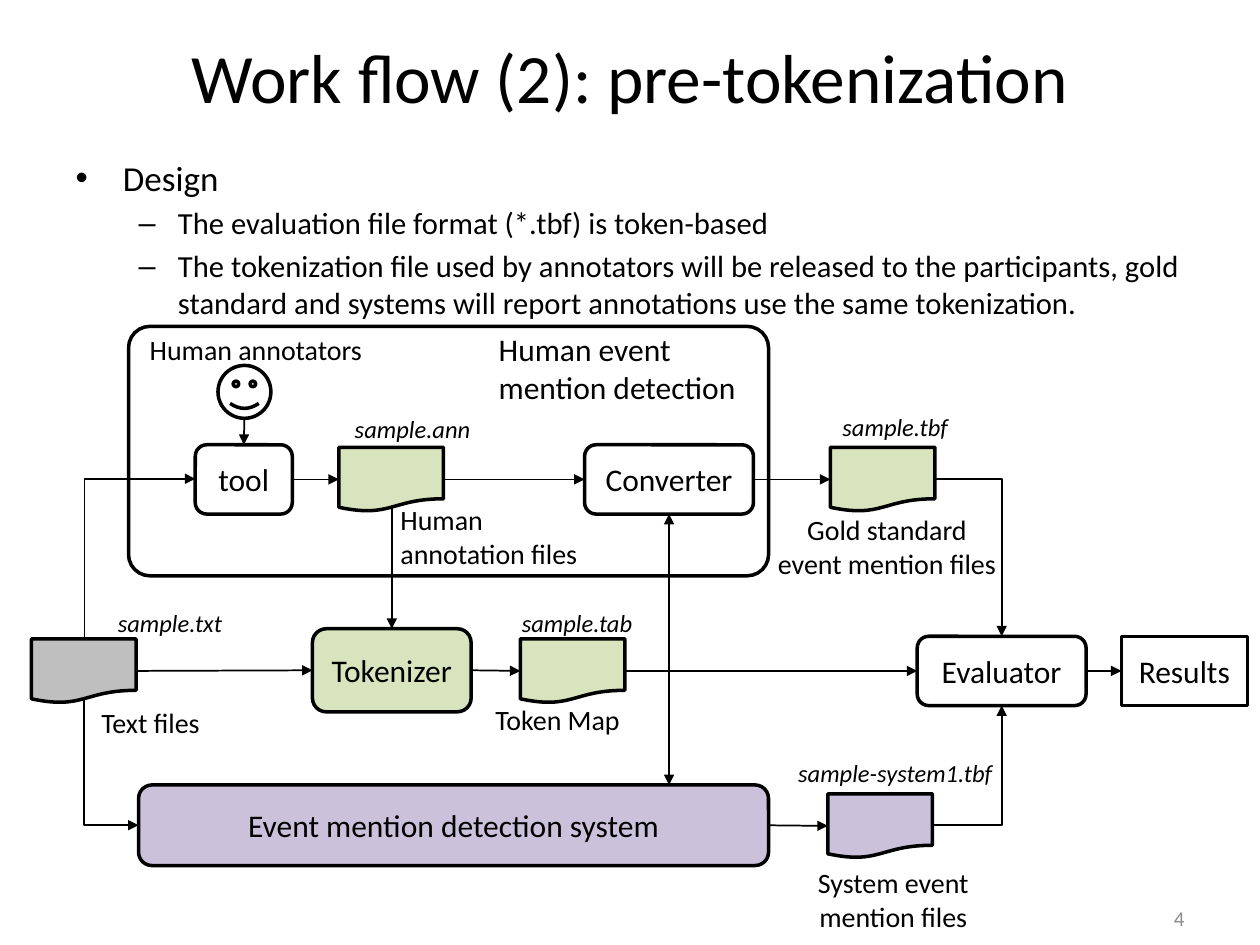
from pptx import Presentation
from pptx.dml.color import RGBColor
from pptx.enum import shapes, text
from pptx.oxml import ns, xmlchemy
from pptx.util import Inches, Pt

FONT, BLACK, GREY = "Calibri", "000000", "8C8C8C"
GREEN, PURPLE, SILVER = "D7E4BD", "CCC1DA", "BFBFBF"
TOP, LEFT, BOTTOM, RIGHT = range(4)
ROUND = shapes.MSO_SHAPE.ROUNDED_RECTANGLE
PROCESS = shapes.MSO_SHAPE.FLOWCHART_PROCESS
DOCUMENT = shapes.MSO_SHAPE.FLOWCHART_DOCUMENT
SMILEY = shapes.MSO_SHAPE.SMILEY_FACE
ALIGN = text.PP_ALIGN

# Content
TITLE = "Work flow (2): pre-tokenization"
BULLETS = [  # level, size, wording
    (0, 20, "Design"),
    (1, 17.5, "The evaluation file format (*.tbf) is token-based"),
    (1, 17.5, "The tokenization file used by annotators will be released to the "
              "participants, gold standard and systems will report annotations "
              "use the same tokenization."),
]
DOC = (0.83, 0.51)
STEPS = {  # name: (preset, left, top, (width, height), fill, wording)
    "frame": (ROUND, 1.02, 2.59, (5.08, 1.98), None, ""),
    "annotator": (SMILEY, 1.73, 2.9, (0.42, 0.42), None, ""),
    "tool": (ROUND, 1.55, 3.53, (0.77, 0.55), None, "tool"),
    "ann": (DOCUMENT, 2.69, 3.55, DOC, GREEN, ""),
    "converter": (ROUND, 4.64, 3.53, (1.34, 0.55), None, "Converter"),
    "gold": (DOCUMENT, 6.59, 3.55, DOC, GREEN, ""),
    "txt": (DOCUMENT, 0.25, 5.07, DOC, SILVER, ""),
    "tokenizer": (ROUND, 2.48, 4.99, (1.26, 0.66), GREEN, "Tokenizer"),
    "tab": (DOCUMENT, 4.13, 5.07, DOC, GREEN, ""),
    "evaluator": (ROUND, 7.28, 5.05, (1.34, 0.55), None, "Evaluator"),
    "results": (PROCESS, 8.9, 5.05, (1, 0.55), None, "Results"),
    "detector": (ROUND, 1.1, 6.23, (5, 0.64), PURPLE, "Event mention detection system"),
    "system": (DOCUMENT, 6.57, 6.3, DOC, PURPLE, ""),
}
FLOWS = [  # straight arrows, left to right
    ("tool", "ann"), ("ann", "converter"), ("converter", "gold"),
    ("txt", "tokenizer"), ("tokenizer", "tab"), ("tab", "evaluator"),
    ("evaluator", "results"), ("detector", "system"),
]
DROPS = [  # straight arrows downward: start x, start y, target
    (1.94, 3.32, "tool"), (3.11, 4.03, "tokenizer"),
]
TURNS = [  # horizontal start, vertical finish, which end has the arrowhead
    ((7.43, 3.8), (7.95, 5.05), "tailEnd"),
    ((7.41, 6.55), (7.95, 5.6), "tailEnd"),
    ((4.96, 5.33), (5.31, 6.23), "tailEnd"),
    ((4.96, 5.33), (5.31, 4.08), "tailEnd"),
    ((1.55, 3.8), (0.67, 5.07), "headEnd"),
    ((1.1, 6.55), (0.67, 5.55), "headEnd"),
]
FILE_NAMES = [  # left, top, width, wording
    (2.71, 3.24, 1.13, "sample.ann"),
    (6.58, 3.22, 1.05, "sample.tbf"),
    (0.83, 4.78, 1.04, "sample.txt"),
    (4.01, 4.78, 1.14, "sample.tab"),
    (6.2, 5.97, 1.81, "sample-system1.tbf"),
]
CAPTIONS = [  # left, top, width, height, lines
    (0.7, 5.55, 0.99, 0.37, ["Text files"]),
    (3.81, 5.53, 1.23, 0.37, ["Token Map"]),
    (6.06, 4.02, 1.96, 0.64, ["Gold standard", "event mention files"]),
    (6.38, 6.82, 1.42, 0.64, ["System event", "mention files"]),
]
NOTES = [  # left, top, width, height, size, wording
    (1.09, 2.59, 1.96, 0.37, 16, "Human annotators"),
    (3.08, 3.94, 1.72, 0.64, 16, "Human annotation files"),
    (3.86, 2.57, 2.14, 0.71, 18, "Human event mention detection"),
]


def rgb(code):
    return RGBColor.from_string(code)


def write(frame, lines, size, align, color=BLACK, italic=None):
    frame.text = "\n".join(lines)
    font_format = {"name": FONT, "size": Pt(size), "italic": italic}
    for paragraph in frame.paragraphs:
        paragraph.alignment = align
        for run in paragraph.runs:
            for key, value in font_format.items():
                setattr(run.font, key, value)
            run.font.color.rgb = rgb(color)


def place(shape, *box):
    for key, value in zip(("left", "top", "width", "height"), box):
        setattr(shape, key, Inches(value))


def add_label(slide, box, lines, size, align=ALIGN.CENTER, wrap=False, **style):
    label = slide.shapes.add_textbox(*map(Inches, box))
    label.text_frame.word_wrap = wrap
    label.text_frame.auto_size = text.MSO_AUTO_SIZE.SHAPE_TO_FIT_TEXT
    write(label.text_frame, lines, size, align, **style)


def add_step(slide, preset, left, top, size, fill, wording):
    step = slide.shapes.add_shape(preset, *map(Inches, (left, top, *size)))
    step.shadow.inherit = False
    step.line.color.rgb, step.line.width = rgb(BLACK), Pt(2)
    if fill:
        step.fill.solid()
        step.fill.fore_color.rgb = rgb(fill)
    else:
        step.fill.background()
    if wording:
        step.text_frame.word_wrap = True
        step.text_frame.vertical_anchor = text.MSO_ANCHOR.MIDDLE
        write(step.text_frame, [wording], 18, ALIGN.CENTER)
    return step


def add_arrow(slide, start, end, head="tailEnd", turn=False):
    kind = shapes.MSO_CONNECTOR.ELBOW if turn else shapes.MSO_CONNECTOR.STRAIGHT
    arrow = slide.shapes.add_connector(kind, *map(Inches, (*start, *end)))
    arrow.line.color.rgb, arrow.line.width = rgb(BLACK), Pt(1)
    properties = arrow._element.spPr
    if turn:
        properties.find(ns.qn("a:prstGeom")).set("prst", "bentConnector2")
    tip = xmlchemy.OxmlElement(f"a:{head}")
    tip.set("type", "triangle")
    arrow.line._get_or_add_ln().append(tip)
    properties.append(xmlchemy.OxmlElement("a:effectLst"))
    return arrow


def main():
    deck = Presentation()
    deck.slide_width, deck.slide_height = Inches(10), Inches(7.5)
    slide = deck.slides.add_slide(deck.slide_layouts[1])

    # Title and bullets
    title, body = slide.placeholders
    place(title, 0.5, 0.21, 9, 0.78)
    place(body, 0.5, 1.19, 9, 1.5)
    write(title.text_frame, [TITLE], 39.6, ALIGN.CENTER)
    write(body.text_frame, [wording for _, _, wording in BULLETS], 20, ALIGN.LEFT)
    for paragraph, (level, size, _) in zip(body.text_frame.paragraphs, BULLETS):
        paragraph.level = level
        paragraph.runs[0].font.size = Pt(size)
    for holder in (title, body):
        holder.text_frame.auto_size = text.MSO_AUTO_SIZE.NONE

    # Steps and files
    steps = {name: add_step(slide, *parts) for name, parts in STEPS.items()}
    steps["frame"].adjustments[0] = 0.086

    # Arrows
    for source, target in FLOWS:
        arrow = add_arrow(slide, (0, 0), (1, 0))
        arrow.begin_connect(steps[source], RIGHT)
        arrow.end_connect(steps[target], LEFT)
    for x, y, target in DROPS:
        arrow = add_arrow(slide, (x, y), (x, STEPS[target][2]))
        arrow.end_connect(steps[target], TOP)
    for start, end, head in TURNS:
        add_arrow(slide, start, end, head, turn=True)

    # Labels
    for left, top, width, wording in FILE_NAMES:
        add_label(slide, (left, top, width, 0.34), [wording], 14, italic=True)
    for *box, lines in CAPTIONS:
        add_label(slide, box, lines, 16)
    for *box, size, wording in NOTES:
        add_label(slide, box, [wording], size, ALIGN.LEFT, wrap=True)

    # Page number
    number = slide.shapes.add_textbox(*map(Inches, (7.17, 7.09, 2.33, 0.4)))
    number.text_frame.vertical_anchor = text.MSO_ANCHOR.MIDDLE
    number.text_frame.word_wrap = True
    write(number.text_frame, ["4"], 12, ALIGN.RIGHT, GREY)

    deck.save("out.pptx")


if __name__ == "__main__":
    main()
